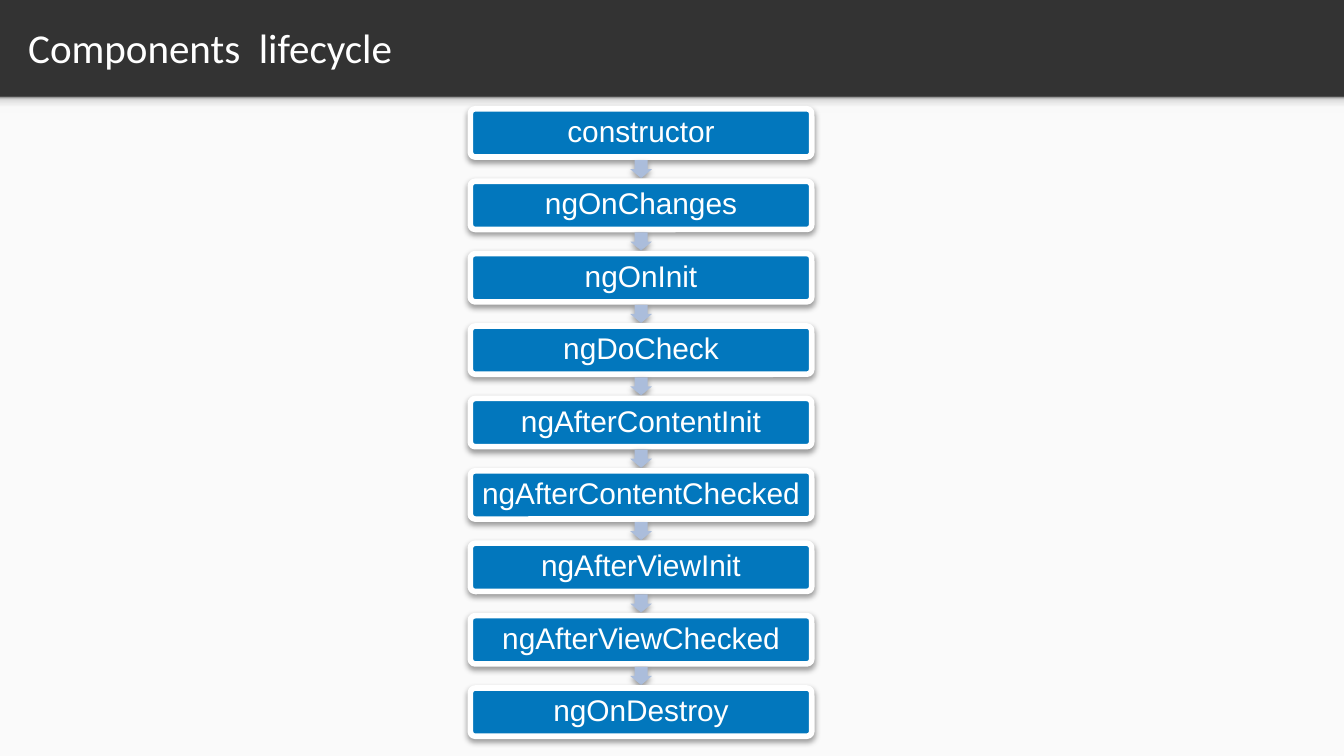
from pptx import Presentation
from pptx import util as u
from pptx.dml.color import RGBColor
from pptx.enum import shapes, text
from pptx.oxml import parse_xml
from pptx.oxml.ns import nsdecls

WIDTH = u.Inches(10)
HEIGHT = WIDTH * 9 // 16
DARK = RGBColor(0x33, 0x33, 0x33)
PAPER = RGBColor(0xFA, 0xFA, 0xFA)
BLUE = RGBColor(0x02, 0x77, 0xBD)
PALE_BLUE = RGBColor(0xAB, 0xBD, 0xDB)
WHITE = RGBColor(0xFF, 0xFF, 0xFF)
FADE = ((0, RGBColor(0xF9, 0xF9, 0xF9)), (36, RGBColor(0xF9, 0xF9, 0xF9)),
        (80, RGBColor(0xDE, 0xDE, 0xDE)), (100, RGBColor(0x99, 0x99, 0x99)))
HOOKS = ("constructor", "ngOnChanges", "ngOnInit", "ngDoCheck",
         "ngAfterContentInit", "ngAfterContentChecked", "ngAfterViewInit",
         "ngAfterViewChecked", "ngOnDestroy")


def add_block(s, kind, box, color):
    """Add a filled preset shape without line or shadow."""
    sp = s.shapes.add_shape(kind, *(int(v) for v in box))
    sp.shadow.inherit = False
    sp.fill.solid()
    sp.fill.fore_color.rgb = color
    sp.line.fill.background()
    return sp


def add_shadow(sp):
    """Give a shape a soft shadow that falls straight down."""
    effects = sp._element.spPr.find("{*}effectLst")
    effects.append(parse_xml(
        f'<a:outerShdw {nsdecls("a")} blurRad="{u.Pt(3.1)}" dist="{u.Pt(1.6)}" '
        'dir="5400000" algn="t" rotWithShape="0">'
        '<a:srgbClr val="000000"><a:alpha val="38000"/></a:srgbClr></a:outerShdw>'))


def add_fade(s, box):
    """Add the strip that fades downward from the header's edge."""
    sp = add_block(s, shapes.MSO_SHAPE.RECTANGLE, box, PAPER)
    stops = "".join(f'<a:gs pos="{pos * 1000}"><a:srgbClr val="{color}"/></a:gs>'
                    for pos, color in FADE)
    spPr = sp._element.spPr
    spPr.replace(spPr.find("{*}solidFill"), parse_xml(
        f'<a:gradFill {nsdecls("a")}><a:gsLst>{stops}</a:gsLst>'
        '<a:lin ang="16200000" scaled="0"/></a:gradFill>'))


def add_body(s, box):
    """Add the light page area with the fade along its top."""
    left, top, width, height = box
    add_block(s, shapes.MSO_SHAPE.RECTANGLE, box, PAPER)
    add_fade(s, (left, top, width, height * 0.025))


def format_label(sp, label, font, size, align, margin):
    """Write one white line of text, centred vertically in the shape."""
    tf = sp.text_frame
    tf.text = label
    tf.word_wrap = True
    tf.auto_size = text.MSO_AUTO_SIZE.NONE
    tf.vertical_anchor = text.MSO_ANCHOR.MIDDLE
    tf.margin_left = tf.margin_right = tf.margin_top = tf.margin_bottom = margin
    p = tf.paragraphs[0]
    p.alignment = align
    p.font.name, p.font.size = font, size
    p.font.color.rgb = WHITE
    return p


def add_title(s, box, label):
    """Place and format the title placeholder."""
    sp = s.shapes.title
    sp.left, sp.top, sp.width, sp.height = (int(v) for v in box)
    format_label(sp, label, "Calibri", u.Pt(22), text.PP_ALIGN.LEFT, u.Inches(0.1))


def add_step(s, box, label):
    """Add one lifecycle step as a bordered, labelled box."""
    sp = add_block(s, shapes.MSO_SHAPE.ROUNDED_RECTANGLE, box, BLUE)
    sp.adjustments[0] = 0.1
    sp.line.color.rgb = WHITE
    sp.line.width = u.Pt(3)
    add_shadow(sp)
    p = format_label(sp, label, "Arial", u.Pt(16), text.PP_ALIGN.CENTER, u.Inches(0.07))
    p.line_spacing = 0.9


def add_arrow(s, center_x, center_y, length, breadth):
    """Add a downward arrow centred on a point."""
    sp = add_block(s, shapes.MSO_SHAPE.RIGHT_ARROW,
                   (center_x - length / 2, center_y - breadth / 2, length, breadth),
                   PALE_BLUE)
    sp.rotation = 90
    sp.adjustments[0], sp.adjustments[1] = 0.6, 0.5
    add_shadow(sp)


def add_flow(s, box, labels):
    """Stack the steps evenly in the box with an arrow in each gap."""
    left, top, width, height = box
    step = height / (len(labels) - 1 / 3)
    row, gap = step * 2 / 3, step / 3
    for i, label in enumerate(labels):
        y = top + i * step
        add_step(s, (left, y, width, row), label)
        if i < len(labels) - 1:
            add_arrow(s, left + width / 2, y + row + gap / 2, gap * 0.75, gap * 0.9)


def main():
    """Build the lifecycle slide and save it."""
    prs = Presentation()
    prs.slide_width, prs.slide_height = WIDTH, HEIGHT
    s = prs.slides.add_slide(prs.slide_layouts[5])
    s.background.fill.solid()
    s.background.fill.fore_color.rgb = DARK
    header = HEIGHT * 0.128
    add_body(s, (0, header, WIDTH, HEIGHT - header))
    add_title(s, (WIDTH * 0.011, header * 0.03, WIDTH * 0.965, header * 0.92),
              "Components  lifecycle")
    add_flow(s, (WIDTH * 0.35, HEIGHT * 0.144, WIDTH * 0.254, HEIGHT * 0.83), HOOKS)
    prs.save("out.pptx")


if __name__ == "__main__":
    main()
